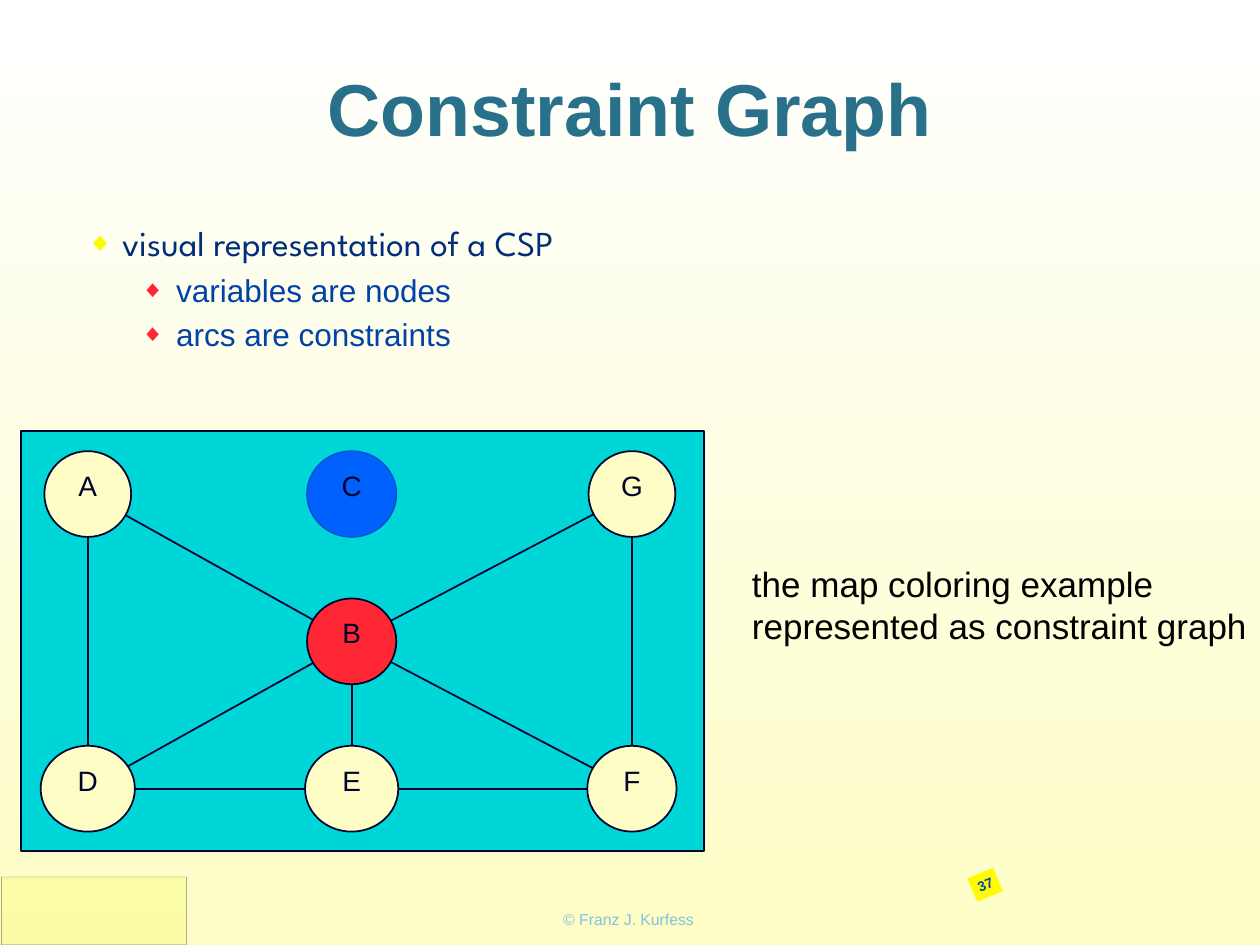
from math import hypot
from lxml import etree
from pptx import Presentation
from pptx.dml.color import RGBColor
from pptx.enum import shapes, text
from pptx.oxml.ns import qn
from pptx.util import Cm, Pt

# Content
TITLE = "Constraint Graph"
BULLETS = [(0, "visual representation of a CSP"),
           (1, "variables are nodes"),
           (1, "arcs are constraints")]
CAPTION = ["the map coloring example", "represented as constraint graph"]
FOOTER = "© Franz J. Kurfess"
NUMBER = "37"
# Node: (column, row, width in cm, fill, line)
NODES = {
    "A": (0, 0, 1.75, "node", "ink"),
    "C": (1, 0, 1.8, "blue", "blue_line"),
    "G": (2, 0, 1.75, "node", "ink"),
    "B": (1, 1, 1.8, "red", "ink"),
    "D": (0, 2, 1.9, "node", "ink"),
    "E": (1, 2, 1.88, "node", "ink"),
    "F": (2, 2, 1.8, "node", "ink"),
}
EDGES = ["AB", "AD", "BG", "BF", "BE", "BD", "ED", "EF", "GF"]

# Theme
THEME = {
    "colors": {
        "node": "FDFDC5", "white": "FFFFFF", "ink": "00032B", "panel": "00D5D7",
        "blue": "0061FF", "blue_line": "0056D6", "red": "FF2734",
        "title": "29708A", "footer": "80C4DF", "black": "000000",
        "badge": "FFFB00", "number": "0048AA", "corner": "F8FC84",
    },
    "sizes": {"title": 42, "caption": 20, "node": 16, "footer": 9, "number": 8},
    # Per level: font, size, colour, bullet colour, left margin cm, space before
    "levels": [("League Spartan", 20, "002E7A", "FBFA00", 0.84, 20),
               ("Arial", 18, "0042AA", "FF2734", 1.93, 6)],
    "font": "Arial", "inset": 0.1, "hanging": 0.71, "corner_alpha": 48,
}
COLUMNS = (1.77, 7.09, 12.74)
TOP_ROW, ROW_STEP, NODE_HEIGHT = 9.96, 2.97, 1.73


def color(name):
    return RGBColor.from_string(THEME["colors"].get(name, name))


def box(left, top, width, height):
    return Cm(left), Cm(top), Cm(width), Cm(height)


def write(sp, lines, role, ink, align=text.PP_ALIGN.CENTER,
          anchor=text.MSO_ANCHOR.TOP, bold=False, wrap=True):
    tf = sp.text_frame
    tf.text = "\n".join(lines)
    tf.word_wrap, tf.vertical_anchor = wrap, anchor
    tf.auto_size = text.MSO_AUTO_SIZE.NONE
    tf.margin_left = tf.margin_right = tf.margin_top = tf.margin_bottom = Cm(THEME["inset"])
    for p in tf.paragraphs:
        p.alignment = align
        style(p, THEME["font"], THEME["sizes"][role], ink, bold)


def style(p, font, size, ink, bold=False):
    for r in p.runs:
        r.font.name, r.font.size, r.font.bold = font, Pt(size), bold
        r.font.color.rgb = color(ink)


def add_shape(s, kind, place, fill, line=None, width=1):
    sp = s.shapes.add_shape(kind, *box(*place))
    sp.shadow.inherit = False
    sp.fill.solid()
    sp.fill.fore_color.rgb = color(fill)
    if line:
        sp.line.color.rgb, sp.line.width = color(line), Pt(width)
    else:
        sp.line.fill.background()
    return sp


def add_bullet(p, ink, margin):
    pPr = p._p.get_or_add_pPr()
    pPr.set("marL", str(Cm(margin)))
    pPr.set("indent", str(-Cm(THEME["hanging"])))
    bu = etree.SubElement(pPr, qn("a:buClr"))
    etree.SubElement(bu, qn("a:srgbClr")).set("val", ink)
    etree.SubElement(pPr, qn("a:buSzPct")).set("val", "75000")
    etree.SubElement(pPr, qn("a:buFont")).set("typeface", THEME["font"])
    etree.SubElement(pPr, qn("a:buChar")).set("char", "◆")


def center(name):
    column, row = NODES[name][:2]
    return COLUMNS[column], TOP_ROW + row * ROW_STEP


def rim(name, other):
    """Point on a node's outline that faces another node."""
    (x, y), (ox, oy) = center(name), center(other)
    t = 1 / hypot((ox - x) / (NODES[name][2] / 2), (oy - y) / (NODE_HEIGHT / 2))
    return Cm(x + t * (ox - x)), Cm(y + t * (oy - y))


def main():
    prs = Presentation()
    prs.slide_width, prs.slide_height = Cm(25.4), Cm(19.05)
    s = prs.slides.add_slide(prs.slide_layouts[1])

    # Background
    fill = s.background.fill
    fill.gradient()
    fill.gradient_angle = 90
    for stop, name in zip(fill.gradient_stops, ("node", "white")):
        stop.color.rgb = color(name)

    # Title and bullets
    title, body = s.placeholders
    title.left, title.top, title.width, title.height = box(1.52, 0, 22.35, 4.32)
    write(title, [TITLE], "title", "title", anchor=text.MSO_ANCHOR.MIDDLE, bold=True)
    body.left, body.top, body.width, body.height = box(1.52, 4.47, 22.33, 13.26)
    write(body, [line for _, line in BULLETS], "caption", "ink", text.PP_ALIGN.LEFT)
    for p, (level, _) in zip(body.text_frame.paragraphs, BULLETS):
        font, size, ink, bullet, margin, before = THEME["levels"][level]
        p.level, p.line_spacing, p.space_before = level, 0.9, Pt(before)
        style(p, font, size, ink)
        add_bullet(p, bullet, margin)

    # Corner block and footer
    rect = shapes.MSO_SHAPE.RECTANGLE
    corner = add_shape(s, rect, (0.03, 17.68, 3.73, 1.37), "corner", "black", 0.25)
    for clr in corner._element.spPr.iter(qn("a:srgbClr")):
        etree.SubElement(clr, qn("a:alpha")).set("val", str(THEME["corner_alpha"] * 1000))
    footer = s.shapes.add_textbox(*box(8.53, 18.21, 8.28, 0.66))
    write(footer, [FOOTER], "footer", "footer", anchor=text.MSO_ANCHOR.MIDDLE)

    # Graph panel, nodes and arcs
    add_shape(s, rect, (0.43, 8.69, 13.77, 8.46), "panel", "ink")
    for name, (_, _, width, node_fill, line) in NODES.items():
        x, y = center(name)
        place = (x - width / 2, y - NODE_HEIGHT / 2, width, NODE_HEIGHT)
        sp = add_shape(s, shapes.MSO_SHAPE.OVAL, place, node_fill, line)
        write(sp, [name], "node", "ink")
    for start, end in EDGES:
        arc = s.shapes.add_connector(shapes.MSO_CONNECTOR.STRAIGHT,
                                     *rim(start, end), *rim(end, start))
        arc.line.color.rgb, arc.line.width = color("ink"), Pt(1)
        etree.SubElement(arc._element.spPr, qn("a:effectLst"))

    # Caption and slide number
    caption = s.shapes.add_textbox(*box(15.06, 11.23, 10.34, 2.84))
    write(caption, CAPTION, "caption", "black", text.PP_ALIGN.LEFT)
    badge = add_shape(s, rect, (19.58, 17.58, 0.56, 0.51), "badge")
    badge.rotation = 337.5
    write(badge, [NUMBER], "number", "number", anchor=text.MSO_ANCHOR.MIDDLE,
          bold=True, wrap=False)

    prs.save("out.pptx")


if __name__ == "__main__":
    main()
